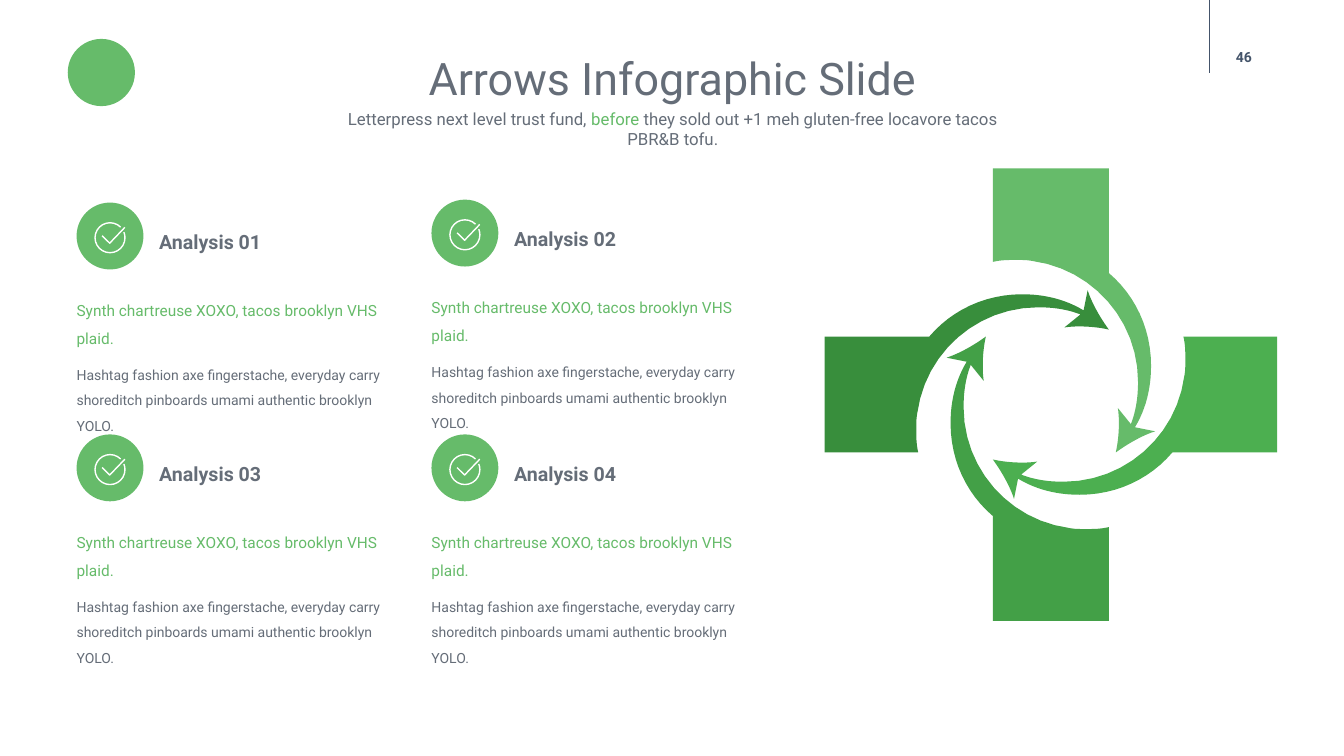
import math
import pptx
import pptx.util
import pptx.dml.color
import pptx.enum.shapes
import pptx.enum.text
import pptx.oxml

Pt = pptx.util.Pt
SHAPE = pptx.enum.shapes.MSO_SHAPE
ANCHOR = pptx.enum.text.MSO_ANCHOR
ALIGN = pptx.enum.text.PP_ALIGN

# Content
FONT = "Roboto"
GREEN, GREY, NAVY, WHITE = "66BB6A", "656D78", "44546A", "FFFFFF"
TITLE = "Arrows Infographic Slide"
SUBTITLE = [("Letterpress next level trust fund, ", GREY), ("before", GREEN),
            (" they sold out +1 meh gluten-free locavore tacos PBR&B tofu.", GREY)]
PAGE = "46"
LEAD = "Synth chartreuse XOXO, tacos brooklyn VHS plaid."
DETAIL = ("Hashtag fashion axe fingerstache, everyday carry "
          "shoreditch pinboards umami authentic brooklyn YOLO.")
CARDS = [("Analysis 01", 54.7, 144.7), ("Analysis 02", 308.2, 142.6),
         ("Analysis 03", 54.7, 310.3), ("Analysis 04", 308.2, 310.3)]

# Top arrow around the hub; each further arrow is a quarter turn clockwise.
# Two numbers are a straight step, six are a Bezier curve.
HUB = (750.6, 281.8)
ARROW_COLOURS = [GREEN, "4CAF50", "43A047", "388E3C"]
ARROW_START = (-24.8, -96.1)
ARROW_STEPS = [
    (-20.5, -96.1, -16.9, -96.1, -13.3, -95.4),
    (29.9, -89.6, 62.3, -52.9, 62.3, -9),
    (62.3, 1.8, 60.8, 11.9, 57.2, 21.2),
    (47.9, 9.7),
    (49.3, 19.1, 48.6, 32, 46.4, 41.4),
    (54.4, 35.6, 65.2, 29.2, 74.5, 26.3),
    (60.1, 23.4),
    (68, 10.4, 71.6, -4.7, 71.6, -20.5),
    (71.6, -47.2, 60.1, -70.9, 41.4, -86.8),
    (41.4, -161.6), (-41.4, -161.6), (-41.4, -94.7),
    (-35.6, -96.1, -30.6, -96.1, -24.8, -96.1),
]
TICK = [(-5.6, -1.4), (-0.2, 3.9), (10.6, -7.4)]

prs = pptx.Presentation()
prs.slide_width, prs.slide_height = Pt(960), Pt(540)
s = prs.slides.add_slide(prs.slide_layouts[6])


def rgb(colour):
    return pptx.dml.color.RGBColor.from_string(colour)


def paint(sp, fill=None, line=None, width=1):
    sp.shadow.inherit = False
    if fill:
        sp.fill.solid()
        sp.fill.fore_color.rgb = rgb(fill)
    else:
        sp.fill.background()
    if line:
        sp.line.color.rgb = rgb(line)
        sp.line.width = Pt(width)
    else:
        sp.line.fill.background()


def shape(kind, x, y, w, h, **look):
    sp = s.shapes.add_shape(kind, Pt(x), Pt(y), Pt(w), Pt(h))
    paint(sp, **look)
    return sp


def outline(points, close, **look):
    # Freeform points are whole numbers, so draw in hundredths of a point
    fine = [(x * 100, y * 100) for x, y in points]
    fb = s.shapes.build_freeform(*fine[0], scale=Pt(1) / 100)
    fb.add_line_segments(fine[1:], close=close)
    paint(fb.convert_to_shape(), **look)


def text(x, y, w, h, paragraphs, inset=True, **frame):
    """Each paragraph is (runs, size, bold, paragraph format)."""
    tf = s.shapes.add_textbox(Pt(x), Pt(y), Pt(w), Pt(h)).text_frame
    if not inset:
        frame.update(dict.fromkeys(
            ["margin_left", "margin_top", "margin_right", "margin_bottom"], 0))
    for name, value in {"word_wrap": True, **frame}.items():
        setattr(tf, name, value)
    for i, (runs, size, bold, layout) in enumerate(paragraphs):
        p = tf.add_paragraph() if i else tf.paragraphs[0]
        for name, value in layout.items():
            setattr(p, name, value)
        for words, colour in runs:
            r = p.add_run()
            r.text = words
            for name, value in {"name": FONT, "size": Pt(size), "bold": bold}.items():
                setattr(r.font, name, value)
            r.font.color.rgb = rgb(colour)


def trace(start, steps, pieces=12):
    """Turn straight and Bezier steps into a list of points."""
    points = [start]
    for step in steps:
        if len(step) == 2:
            points.append(step)
            continue
        ctrl = [points[-1], step[:2], step[2:4], step[4:]]
        for n in range(1, pieces + 1):
            t = n / pieces
            weights = [math.comb(3, k) * t**k * (1 - t)**(3 - k) for k in range(4)]
            points.append(tuple(sum(w * c[axis] for w, c in zip(weights, ctrl))
                                for axis in (0, 1)))
    return points


# Header
shape(SHAPE.OVAL, 48.4, 27.8, 48, 48, fill=GREEN)
rule = s.shapes.add_connector(pptx.enum.shapes.MSO_CONNECTOR.STRAIGHT,
                              Pt(864), Pt(0), Pt(864), Pt(52.5))
rule.line.color.rgb = rgb(NAVY)
rule.line.width = Pt(1)
rule._element.spPr.append(pptx.oxml.parse_xml(
    '<a:effectLst xmlns:a="http://schemas.openxmlformats.org/drawingml/2006/main"/>'))
centred = {"alignment": ALIGN.CENTER}
text(859.7, 26, 57.6, 28.8, [([(PAGE, NAVY)], 10, True, centred)],
     inset=False, vertical_anchor=ANCHOR.MIDDLE)
text(183, 32.4, 594.7, 46, [([(TITLE, GREY)], 32, False, centred)])
text(230.4, 74.2, 500.4, 21.6, [(SUBTITLE, 12, False, centred)])

# Arrow cross
points = trace(ARROW_START, ARROW_STEPS)
for colour in ARROW_COLOURS:
    outline([(HUB[0] + x, HUB[1] + y) for x, y in points], True, fill=colour)
    points = [(-y, x) for x, y in points]

# Analysis cards
DISC, RING = 47.8, 10.7
for heading, x, y in CARDS:
    shape(SHAPE.OVAL, x, y, DISC, DISC, fill=GREEN)
    text(x + 59, y + 15.1, 139, 20.2,
         [([(heading, GREY)], 14, True, {"line_spacing": 1.3})],
         inset=False, vertical_anchor=ANCHOR.MIDDLE)
    text(x, y + 64.1, 223, 62.6,
         [([(LEAD, GREEN)], 11, False, {"line_spacing": 1.5}),
          ([(DETAIL, GREY)], 10, False,
           {"line_spacing": 1.5, "space_before": Pt(7.5)})], inset=False)
    # Check mark in an open ring (arc angles in 1/60000 degree)
    cx, cy = x + DISC / 2, y + DISC / 2 + 1.2
    ring = shape(SHAPE.ARC, cx - RING, cy - RING, 2 * RING, 2 * RING, line=WHITE)
    for i, degrees in enumerate((338, 315)):
        ring.adjustments[i] = degrees * 0.6
    outline([(cx + dx, cy + dy) for dx, dy in TICK], False, line=WHITE)

prs.save("out.pptx")
